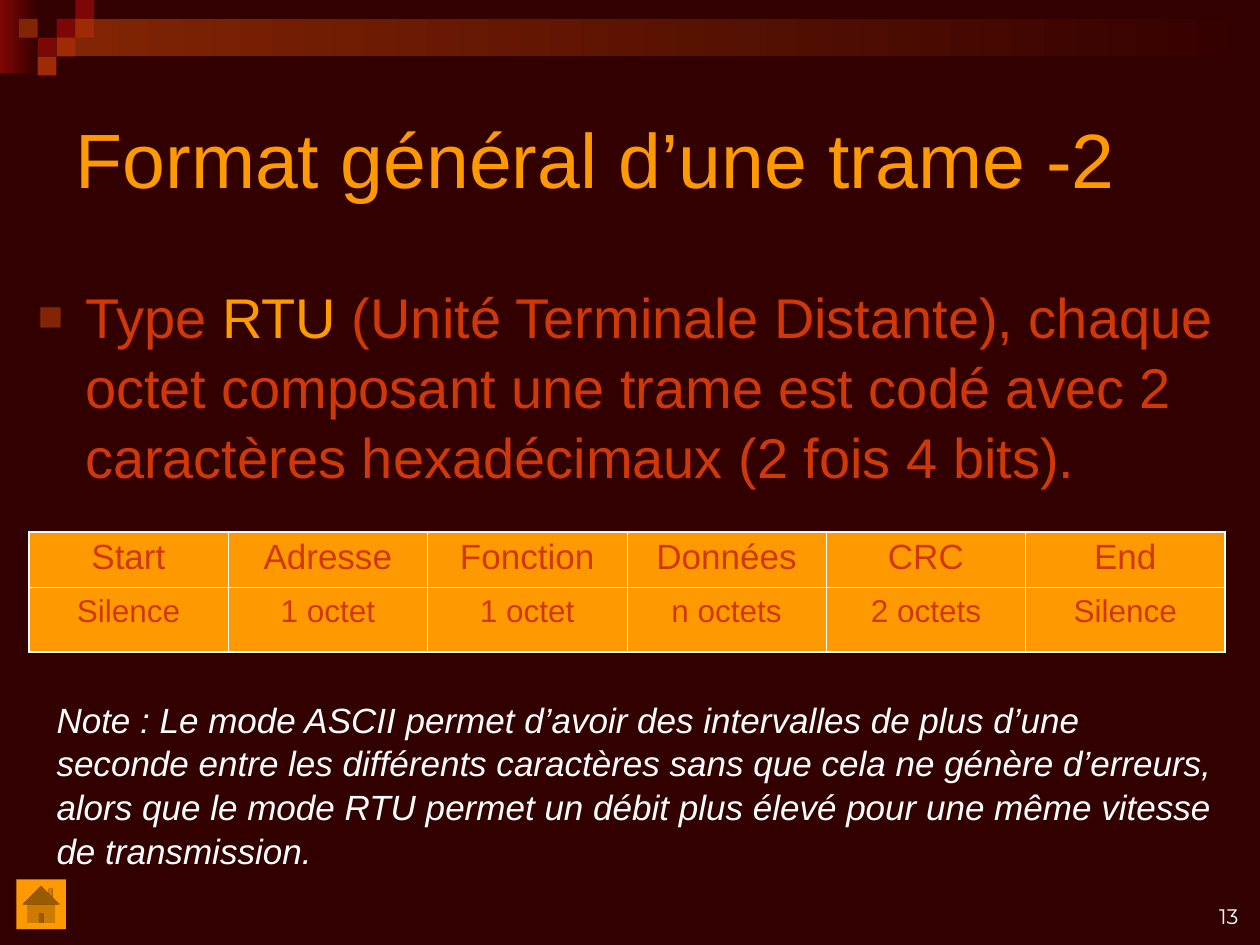
"""Builds the slide on the general format of an RTU frame."""
from dataclasses import dataclass

from lxml import etree
from pptx import Presentation
from pptx.dml.color import RGBColor
from pptx.enum.shapes import MSO_SHAPE
from pptx.enum.text import MSO_ANCHOR, MSO_AUTO_SIZE, PP_ALIGN
from pptx.oxml.ns import qn
from pptx.util import Cm, Pt

RECTANGLE = MSO_SHAPE.RECTANGLE
HOME_BUTTON = MSO_SHAPE.ACTION_BUTTON_HOME
TOP, MIDDLE, BOTTOM = MSO_ANCHOR.TOP, MSO_ANCHOR.MIDDLE, MSO_ANCHOR.BOTTOM
LEFT, CENTER, RIGHT = PP_ALIGN.LEFT, PP_ALIGN.CENTER, PP_ALIGN.RIGHT
NO_AUTOFIT = MSO_AUTO_SIZE.NONE

BACKGROUND = "330000"
DARK_RED = "7C0704"
BROWN = "822504"
RUST = "9E2A06"
ORANGE = "FF9900"
TEXT_RED = "D03808"
WHITE = "FFFFFF"

SQUARE = 0.38
COLUMN_WIDTH = 4.02
OUTER_BORDER = 1.08
INNER_BORDER = 0.45


@dataclass(frozen=True)
class Box:
    """Holds a position and a size in centimetres."""
    left: float
    top: float
    width: float
    height: float


@dataclass(frozen=True)
class Band:
    """Describes a header band that fades into the background."""
    box: Box
    color: str


@dataclass(frozen=True)
class Tile:
    """Describes one square of the corner mosaic."""
    column: int
    row: int
    color: str


@dataclass(frozen=True)
class TableRow:
    """Describes one row of the frame table."""
    labels: tuple
    height: float
    size: int


BANDS = (
    Band(Box(0, 0, 0.79, 1.47), DARK_RED),
    Band(Box(3 * SQUARE, SQUARE, 24.26, 2 * SQUARE), BROWN),
)
TILES = (
    Tile(3, 1, DARK_RED), Tile(4, 0, DARK_RED), Tile(4, 1, RUST),
    Tile(2, 2, DARK_RED), Tile(1, 1, BROWN), Tile(3, 2, RUST),
    Tile(2, 3, RUST),
)
FRAME_ROWS = (
    TableRow(("Start", "Adresse", "Fonction", "Données", "CRC", "End"), 1.12, 20),
    TableRow(("Silence", "1 octet", "1 octet", "n octets", "2 octets", "Silence"), 1.3, 18),
)
BODY_RUNS = (
    ("Type ", TEXT_RED),
    ("RTU", ORANGE),
    (" (Unité Terminale Distante), chaque octet composant une trame est codé "
     "avec 2 caractères hexadécimaux (2 fois 4 bits).", TEXT_RED),
)
NOTE = (
    "Note : Le mode ASCII permet d’avoir des intervalles de plus d’une seconde "
    "entre les différents caractères sans que cela ne génère d’erreurs, alors que "
    "le mode RTU permet un débit plus élevé pour une même vitesse de transmission."
)


def rgb(color: str) -> RGBColor:
    """Turns a hex string into a colour."""
    return RGBColor.from_string(color)


def set_attributes(target, values: dict) -> None:
    """Sets each named attribute on the target."""
    for name, value in values.items():
        setattr(target, name, value)


def lengths(box: Box) -> dict:
    """Gives the position and size attributes of a box."""
    return {name: Cm(getattr(box, name)) for name in ("left", "top", "width", "height")}


def add_run(paragraph, text: str, color: str, **font_values) -> None:
    """Adds a formatted run to a paragraph."""
    run = paragraph.add_run()
    run.text = text
    set_attributes(run.font, {"name": "Arial", **font_values})
    run.font.color.rgb = rgb(color)


def prepare_text(shape, box: Box, anchor, alignment, spacing: float = 1.0):
    """Places a text shape and returns its first paragraph."""
    set_attributes(shape, lengths(box))
    set_attributes(shape.text_frame, {
        "word_wrap": True, "auto_size": NO_AUTOFIT, "vertical_anchor": anchor})
    paragraph = shape.text_frame.paragraphs[0]
    set_attributes(paragraph, {
        "alignment": alignment, "line_spacing": spacing, "space_before": Pt(0)})
    return paragraph


def add_text(slide, box: Box, anchor, alignment, spacing: float = 1.0):
    """Adds a text box and returns its first paragraph."""
    shape = slide.shapes.add_textbox(0, 0, 0, 0)
    return prepare_text(shape, box, anchor, alignment, spacing)


def add_plain_shape(slide, kind, box: Box, color: str):
    """Adds a filled shape without line or shadow."""
    shape = slide.shapes.add_shape(kind, **lengths(box))
    shape.shadow.inherit = False
    shape.line.fill.background()
    shape.fill.solid()
    shape.fill.fore_color.rgb = rgb(color)
    return shape


def add_band(slide, band: Band) -> None:
    """Adds a header band fading to the right."""
    fill = add_plain_shape(slide, RECTANGLE, band.box, band.color).fill
    fill.gradient()
    fill.gradient_angle = 180
    for stop, color in zip(fill.gradient_stops, (BACKGROUND, band.color)):
        stop.color.rgb = rgb(color)


def add_bullet(paragraph) -> None:
    """Gives a paragraph a small square bullet and a hanging indent."""
    properties = paragraph._p.get_or_add_pPr()
    indent = Cm(0.95)
    properties.set("marL", str(indent))
    properties.set("indent", str(-indent))
    color = etree.SubElement(properties, qn("a:buClr"))
    etree.SubElement(color, qn("a:srgbClr"), val=BROWN)
    etree.SubElement(properties, qn("a:buSzPct"), val="75000")
    etree.SubElement(properties, qn("a:buFont"), typeface="Arial")
    etree.SubElement(properties, qn("a:buChar"), char="■")


def set_borders(cell, widths: dict) -> None:
    """Draws white borders of the given widths around a cell."""
    properties = cell._tc.get_or_add_tcPr()
    for position, (side, width) in enumerate(widths.items()):
        line = etree.Element(qn(f"a:{side}"), w=str(Pt(width)))
        fill = etree.SubElement(line, qn("a:solidFill"))
        etree.SubElement(fill, qn("a:srgbClr"), val=WHITE)
        properties.insert(position, line)


def add_frame_table(slide) -> None:
    """Adds the table of the fields of a frame."""
    row_count, column_count = len(FRAME_ROWS), len(FRAME_ROWS[0].labels)
    box = Box(0.58, 10.72, column_count * COLUMN_WIDTH, sum(row.height for row in FRAME_ROWS))
    table = slide.shapes.add_table(row_count, column_count, **lengths(box)).table
    set_attributes(table, {"first_row": False, "horz_banding": False})
    for column in table.columns:
        column.width = Cm(COLUMN_WIDTH)
    for row_index, row in enumerate(FRAME_ROWS):
        table.rows[row_index].height = Cm(row.height)
        for column_index, label in enumerate(row.labels):
            cell = table.cell(row_index, column_index)
            cell.fill.solid()
            cell.fill.fore_color.rgb = rgb(ORANGE)
            outer_sides = {"lnL": column_index == 0, "lnR": column_index == column_count - 1,
                           "lnT": row_index == 0, "lnB": row_index == row_count - 1}
            set_borders(cell, {side: OUTER_BORDER if outer else INNER_BORDER
                               for side, outer in outer_sides.items()})
            paragraph = cell.text_frame.paragraphs[0]
            paragraph.alignment = CENTER
            add_run(paragraph, label, TEXT_RED, size=Pt(row.size))


def main() -> None:
    """Builds and saves the presentation."""
    presentation = Presentation()
    set_attributes(presentation, {"slide_width": Cm(25.4), "slide_height": Cm(19.05)})
    slide = presentation.slides.add_slide(presentation.slide_layouts[1])
    slide.background.fill.solid()
    slide.background.fill.fore_color.rgb = rgb(BACKGROUND)
    for band in BANDS:
        add_band(slide, band)
    for tile in TILES:
        box = Box(tile.column * SQUARE, tile.row * SQUARE, SQUARE, SQUARE)
        add_plain_shape(slide, RECTANGLE, box, tile.color)
    note = add_text(slide, Box(0.89, 13.92, 24, 3.66), TOP, LEFT, 1.04)
    add_run(note, NOTE, WHITE, size=Pt(20), italic=True)
    title = prepare_text(slide.shapes.title, Box(1.27, 1.27, 22.86, 3.81), MIDDLE, LEFT)
    add_run(title, "Format général d’une trame -2", ORANGE, size=Pt(44))
    body = prepare_text(slide.placeholders[1], Box(0.51, 5.51, 25.4, 4.42), TOP, LEFT, 1.04)
    add_bullet(body)
    for text, color in BODY_RUNS:
        add_run(body, text, color, size=Pt(32))
    add_frame_table(slide)
    add_plain_shape(slide, HOME_BUTTON, Box(0.33, 17.73, 1, 1), ORANGE)
    number = add_text(slide, Box(19.3, 17.58, 5.92, 1.27), BOTTOM, RIGHT)
    add_run(number, "13", WHITE, name="Montserrat", size=Pt(12))
    presentation.save("out.pptx")


if __name__ == "__main__":
    main()
